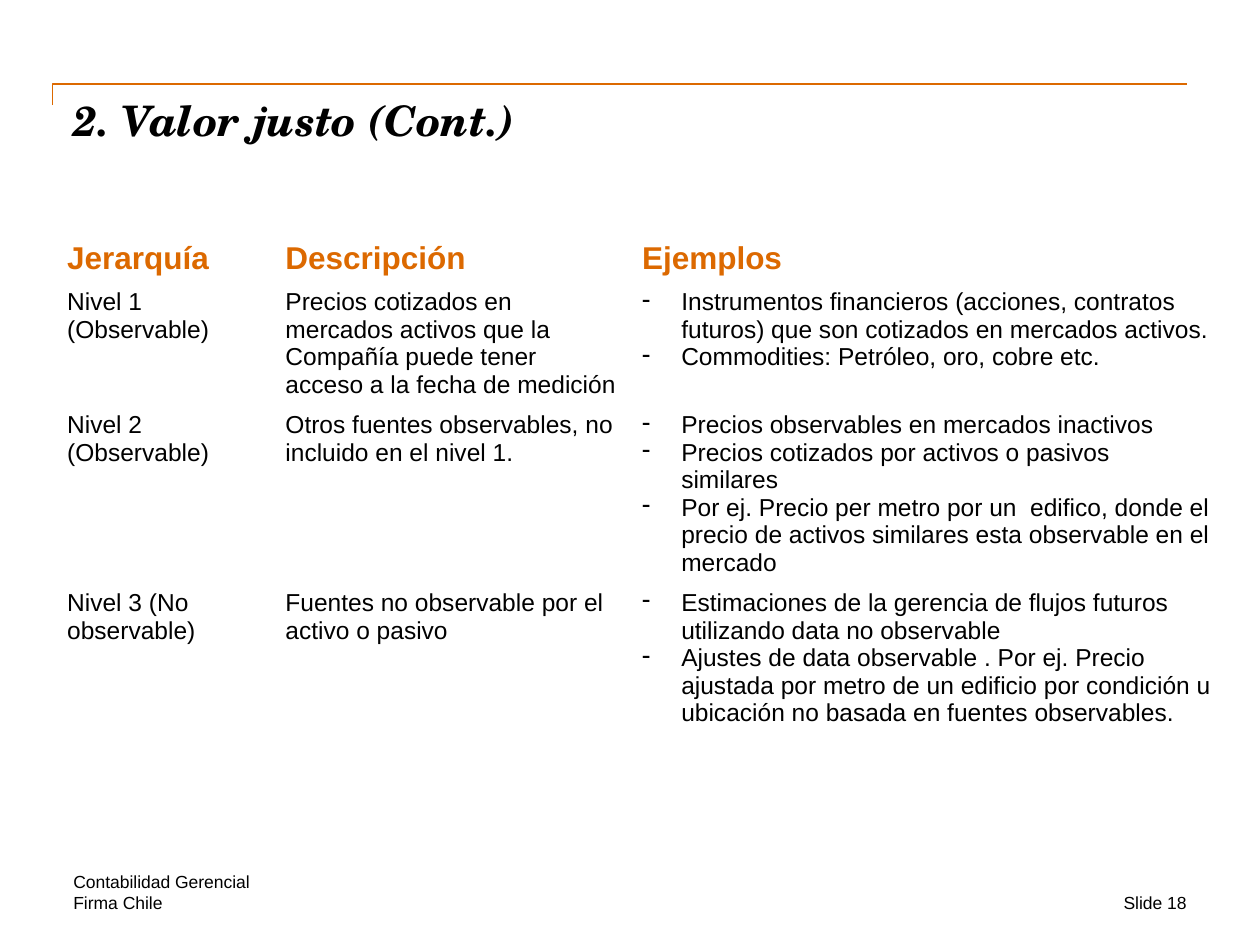
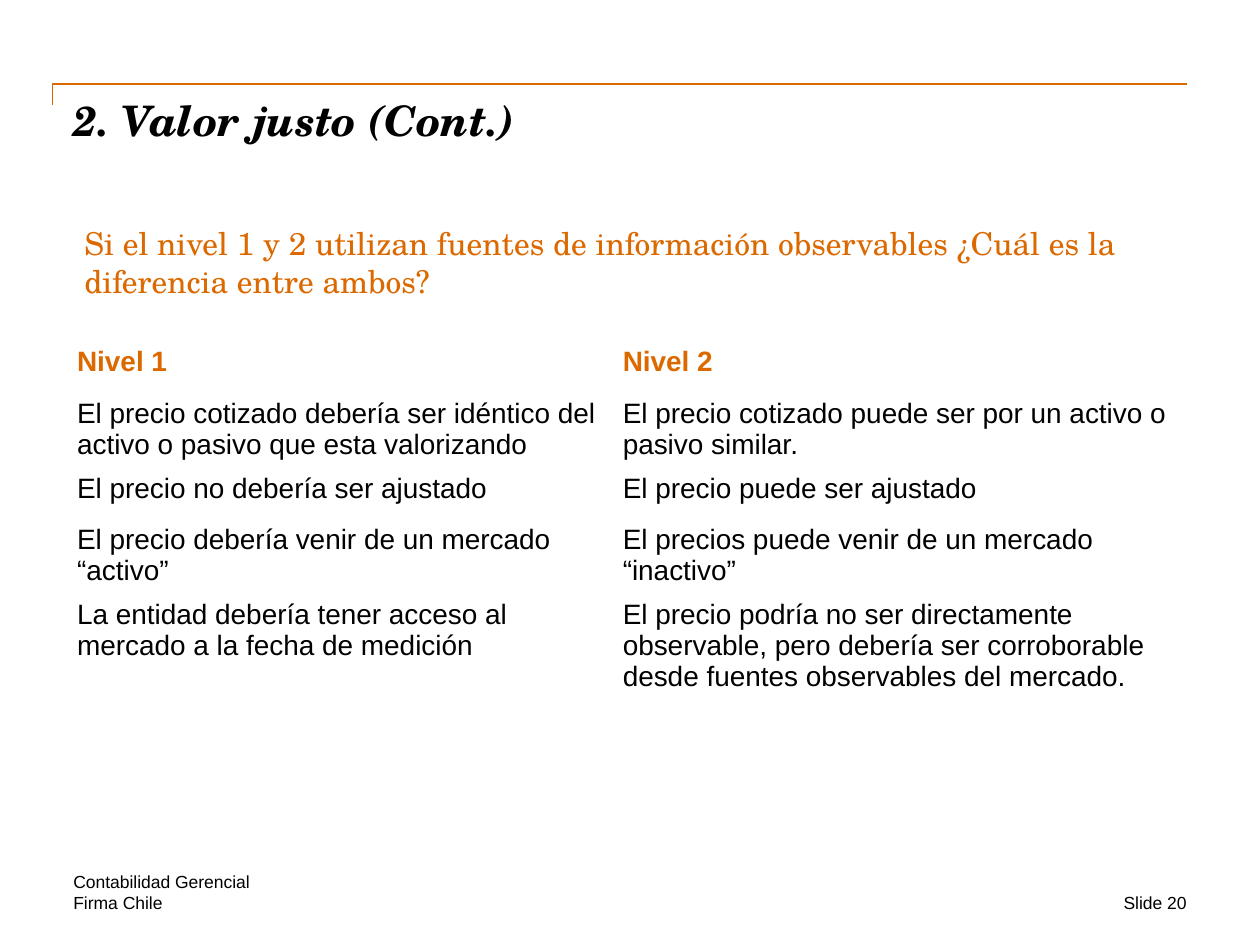
from lxml import etree
from pptx import Presentation
from pptx.dml.color import RGBColor
from pptx.enum.text import MSO_ANCHOR, MSO_AUTO_SIZE, PP_ALIGN
from pptx.oxml.ns import qn
from pptx.util import Cm, Pt

TOP, BOTTOM = MSO_ANCHOR.TOP, MSO_ANCHOR.BOTTOM
LEFT, RIGHT = PP_ALIGN.LEFT, PP_ALIGN.RIGHT
FIXED = MSO_AUTO_SIZE.NONE
ORANGE, BLACK = "DC6900", "000000"
SANS, SERIF = "Arial", "TeX Gyre Schola"
TITLE = "2. Valor justo (Cont.)"
ASK = ("Si el nivel 1 y 2 utilizan fuentes de información observables "
       "¿Cuál es la diferencia entre ambos?")

LEVELS = [
    ["Jerarquía", "Descripción", "Ejemplos"],
    ["Nivel 1 (Observable)",
     "Precios cotizados en mercados activos que la Compañía puede tener acceso a la fecha de medición",
     ["Instrumentos financieros (acciones, contratos futuros) que son cotizados en mercados activos.",
      "Commodities: Petróleo, oro, cobre etc."]],
    ["Nivel 2 (Observable)",
     "Otros fuentes observables, no incluido en el nivel 1.",
     ["Precios observables en mercados inactivos",
      "Precios cotizados por activos o pasivos similares",
      "Por ej. Precio per metro por un  edifico, donde el precio de activos similares esta observable en el mercado"]],
    ["Nivel 3 (No observable)",
     "Fuentes no observable por el activo o pasivo",
     ["Estimaciones de la gerencia de flujos futuros utilizando data no observable",
      "Ajustes de data observable . Por ej. Precio ajustada por metro de un edificio por condición u ubicación no basada en fuentes observables."]],
]
CONTRAST = [
    ["Nivel 1", "Nivel 2"],
    ["El precio cotizado debería ser idéntico del activo o pasivo que esta valorizando",
     "El precio cotizado puede ser por un activo o pasivo similar."],
    ["El precio no debería ser ajustado", "El precio puede ser ajustado"],
    ["El precio debería venir de un mercado “activo”",
     "El precios puede venir de un mercado “inactivo”"],
    ["La entidad debería tener acceso al mercado a la fecha de medición",
     "El precio podría no ser directamente observable, pero debería ser corroborable desde fuentes observables del mercado."],
]
PAGES = [
    dict(num=18, ask=None, rows=LEVELS, sizes=(18, 14), left=1.1, top=4.72,
         widths=[4.4, 7.19, 12], heights=[0.97, 2.48, 3.56, 3.38]),
    dict(num=20, ask=ASK, rows=CONTRAST, sizes=(16, 16), left=1.3, top=6.86,
         widths=[11, 11.81], heights=[1.04, 1.51, 1.04, 1.51, 2.47]),
]


def write(frame, text, size, hue, font=SANS, bold=False, italic=False, align=LEFT):
    frame.text = text
    for par in frame.paragraphs:
        par.alignment = align
        for run in par.runs:
            run.font.name = font
            run.font.size = Pt(size)
            run.font.bold = bold
            run.font.italic = italic
            run.font.color.rgb = RGBColor.from_string(hue)


def place(shape, left, top, width, height, anchor=TOP):
    shape.left, shape.top = Cm(left), Cm(top)
    shape.width, shape.height = Cm(width), Cm(height)
    frame = shape.text_frame
    frame.word_wrap = True
    frame.auto_size = FIXED
    frame.vertical_anchor = anchor
    frame.margin_left = frame.margin_right = 0
    frame.margin_top = frame.margin_bottom = 0
    return frame


deck = Presentation()
deck.slide_width, deck.slide_height = Cm(25.4), Cm(19.05)

for page in PAGES:
    slide = deck.slides.add_slide(deck.slide_layouts[5])
    shapes = slide.shapes

    pen = shapes.build_freeform(Cm(1.06), Cm(2.12))
    pen.add_line_segments([(Cm(1.06), Cm(1.69)), (Cm(23.92), Cm(1.69))], close=False)
    rule = pen.convert_to_shape()
    rule.shadow.inherit = False
    rule.fill.background()
    rule.line.color.rgb = RGBColor.from_string(ORANGE)
    rule.line.width = Pt(1)

    frame = place(shapes.title, 1.48, 1.91, 22.44, 2.54)
    write(frame, TITLE, 24, BLACK, SERIF, True, True)

    if page["ask"]:
        frame = place(shapes.add_textbox(0, 0, 0, 0), 1.7, 4.52, 21.8, 1.6)
        write(frame, page["ask"], 18, ORANGE, SERIF)
        frame.paragraphs[0].space_after = Pt(9)

    rows, widths, heights = page["rows"], page["widths"], page["heights"]
    grid = shapes.add_table(len(rows), len(widths), Cm(page["left"]), Cm(page["top"]),
                            Cm(sum(widths)), Cm(sum(heights))).table
    grid.horz_banding = False
    for col, width in zip(grid.columns, widths):
        col.width = Cm(width)
    for row, height in zip(grid.rows, heights):
        row.height = Cm(height)
    for r, row in enumerate(rows):
        head = r == 0
        for c, text in enumerate(row):
            cell = grid.cell(r, c)
            cell.fill.background()
            dashed = isinstance(text, list)
            write(cell.text_frame, "\n".join(text) if dashed else text,
                  page["sizes"][0 if head else 1], ORANGE if head else BLACK, bold=head)
            if dashed:
                for par in cell.text_frame.paragraphs:
                    props = par._p.get_or_add_pPr()
                    props.set("marL", str(Cm(0.79)))
                    props.set("indent", str(-Cm(0.79)))
                    etree.SubElement(props, qn("a:buChar")).set("char", "-")

    for text, left, top, width, align, anchor in [
        ("Contabilidad Gerencial", 1.48, 17.57, 14.6, LEFT, BOTTOM),
        ("Firma Chile", 1.48, 17.99, 7.2, LEFT, TOP),
        (f"Slide {page['num']}", 19.69, 17.99, 4.23, RIGHT, TOP),
    ]:
        frame = place(shapes.add_textbox(0, 0, 0, 0), left, top, width, 0.42, anchor)
        write(frame, text, 10, BLACK, align=align)

deck.save("out.pptx")
